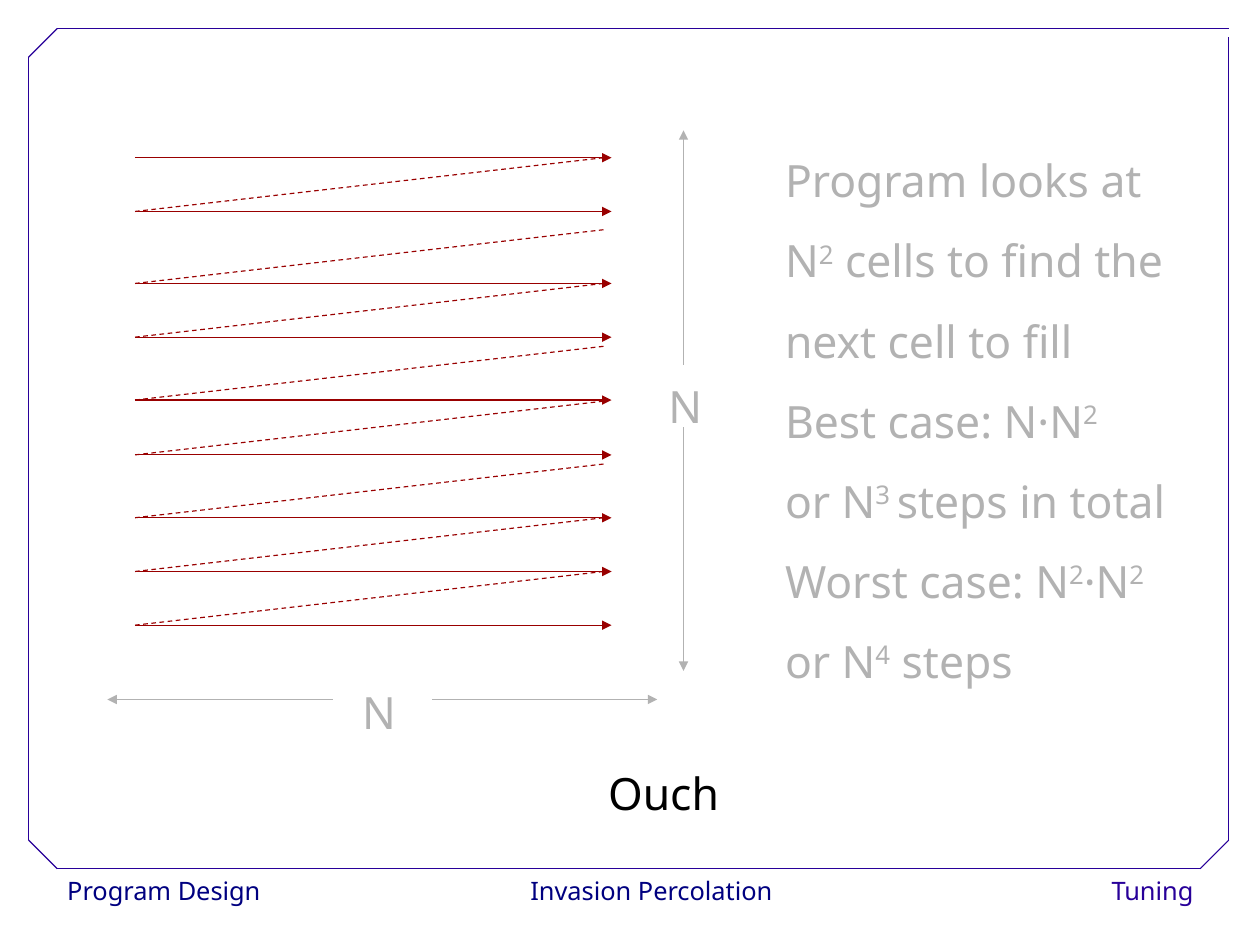
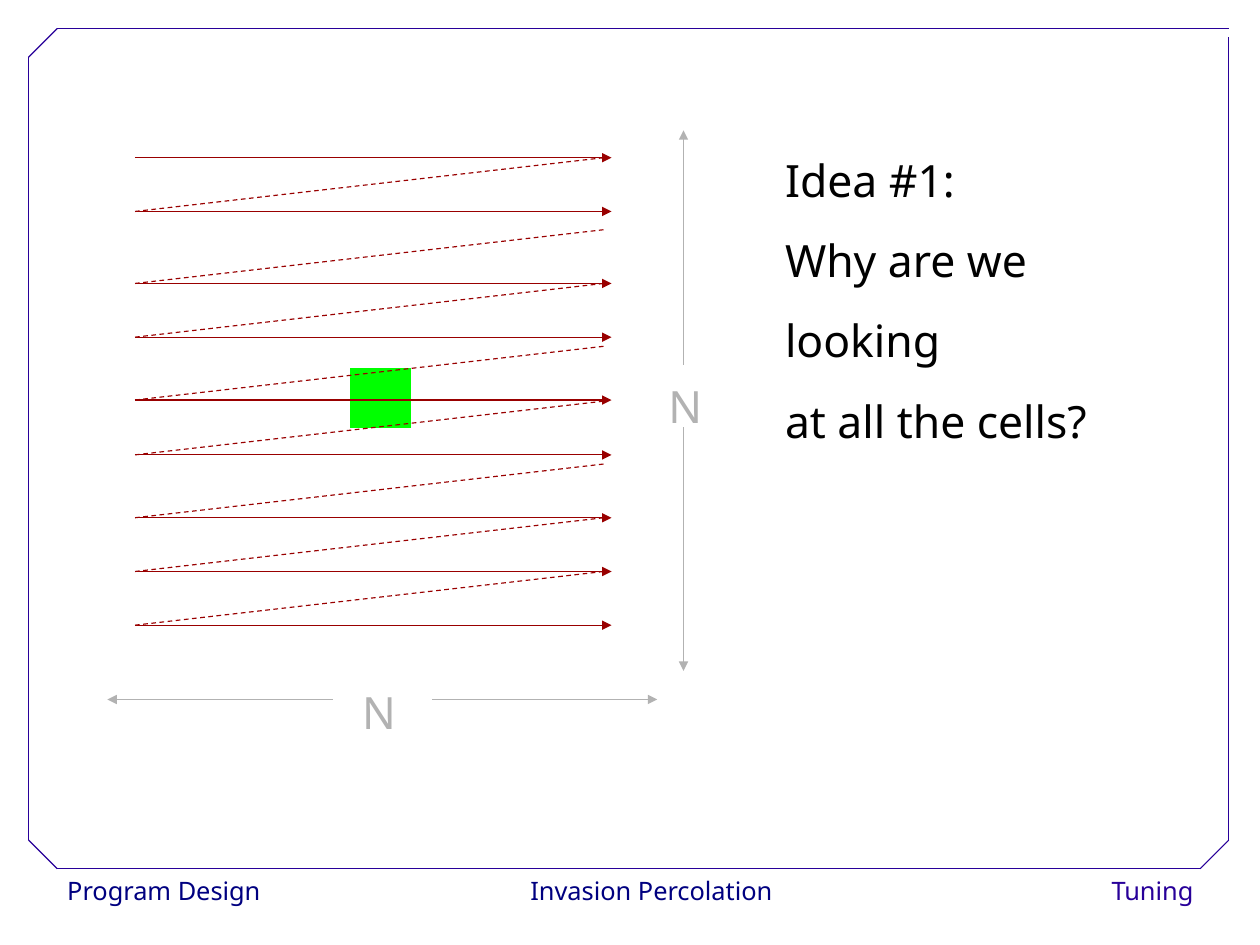
from dataclasses import dataclass

from lxml.etree import SubElement
from pptx import Presentation
from pptx.dml.color import RGBColor
from pptx.enum.dml import MSO_LINE
from pptx.enum.shapes import MSO_CONNECTOR, MSO_SHAPE
from pptx.enum.text import MSO_ANCHOR, MSO_AUTO_SIZE, PP_ALIGN
from pptx.oxml.ns import qn
from pptx.util import Cm, Inches, Pt


@dataclass(frozen=True)
class Theme:
    font: str = "Noto Sans"
    body_size: int = 28
    footer_size: int = 16
    body_spacing: float = 1.5
    footer_spacing: float = 1.02
    line_width: float = 0.75
    paper: str = "FFFFFF"
    frame: str = "280099"
    navy: str = "000080"
    scan: str = "990000"
    muted: str = "B2B2B2"
    ink: str = "000000"
    found: str = "00FF00"


THEME = Theme()
SLIDE_SIZE = Cm(28), Cm(21)

# Content: in a line of several runs, every second run is a superscript
SLIDES = [
    {
        "lines": [
            ("Program looks at",),
            ("N", "2", " cells to find the"),
            ("next cell to fill",),
            ("Best case: N·N", "2"),
            ("or N", "3 ", "steps in total"),
            ("Worst case: N", "2", "·N", "2"),
            ("or N", "4", " steps"),
        ],
        "color": THEME.muted, "height": 5.01, "remark": "Ouch", "found": None,
    },
    {
        "lines": [("Idea #1:",), ("Why are we looking",), ("at all the cells?",)],
        "color": THEME.ink, "height": 2.9, "remark": None, "found": (4, 4),
    },
]
FOOTERS = [  # text, left, width, alignment, colour
    ("Program Design", 0.49, 1.8, PP_ALIGN.LEFT, THEME.navy),
    ("Invasion Percolation", 4.58, 2.24, PP_ALIGN.CENTER, THEME.navy),
    ("Tuning", 9.14, 1.4, PP_ALIGN.RIGHT, THEME.frame),
]

# Frame: outer edges and the corner cut
LEFT, TOP, RIGHT, BOTTOM, CUT = 0.25, 0.25, 10.75, 7.6, 0.25
FRAME = [
    ((LEFT + CUT, BOTTOM), (RIGHT - CUT, BOTTOM)),
    ((LEFT, BOTTOM - CUT), (LEFT, TOP + CUT)),
    ((LEFT + CUT, TOP), (RIGHT, TOP)),
    ((RIGHT, BOTTOM - CUT), (RIGHT, 0.32)),
    ((LEFT, TOP + CUT), (LEFT + CUT, TOP)),
    ((RIGHT - CUT, BOTTOM), (RIGHT, BOTTOM - CUT)),
    ((LEFT, BOTTOM - CUT), (LEFT + CUT, BOTTOM)),
]

# Cell grid and the path that scans it
CELLS = 9
GRID = (0.95, 1.11, 4.76, 4.74)
SCAN_ROWS = [1.38, 1.85, 2.48, 2.95, 3.5, 3.98, 4.53, 5, 5.47]
SCAN_LEFT, SCAN_RIGHT, RETURN_RIGHT, RETURN_RISE = 1.18, 5.35, 5.28, 0.47

# Dimension marks: two arrows pointing away from each N
ACROSS_Y, DOWN_X = 6.12, 5.98
DIMENSIONS = [
    ((2.91, ACROSS_Y), (0.94, ACROSS_Y)),
    ((3.78, ACROSS_Y), (5.75, ACROSS_Y)),
    ((DOWN_X, 3.74), (DOWN_X, 5.87)),
    ((DOWN_X, 3.19), (DOWN_X, 1.14)),
]
DIMENSION_LABELS = [(3.07, 5.71, 0.39, 0.8), (5.75, 3.03, 0.39, 0.8)]


def rgb(color):
    return RGBColor.from_string(color)


def add_line(slide, start, end, color, arrow=False, dashed=False):
    points = [Inches(value) for value in (*start, *end)]
    line = slide.shapes.add_connector(MSO_CONNECTOR.STRAIGHT, *points)
    line.line.color.rgb = rgb(color)
    line.line.width = Pt(THEME.line_width)
    if dashed:
        line.line.dash_style = MSO_LINE.DASH
    properties = line._element.spPr
    if arrow:
        SubElement(properties.find(qn("a:ln")), qn("a:tailEnd"), type="triangle")
    SubElement(properties, qn("a:effectLst"))


def write_lines(shape, lines, color, size=THEME.body_size, spacing=THEME.body_spacing,
                alignment=PP_ALIGN.LEFT, wrap=True):
    frame = shape.text_frame
    frame.word_wrap = wrap
    frame.vertical_anchor = MSO_ANCHOR.TOP
    for index, runs in enumerate(lines):
        paragraph = frame.add_paragraph() if index else frame.paragraphs[0]
        paragraph.alignment = alignment
        paragraph.line_spacing = spacing
        font = paragraph.font
        font.name, font.size, font.color.rgb = THEME.font, Pt(size), rgb(color)
        for position, text in enumerate(runs):
            run = paragraph.add_run()
            run.text = text
            if position % 2:
                run._r.get_or_add_rPr().set("baseline", "30000")


def add_text(slide, box, lines, color, **style):
    shape = slide.shapes.add_textbox(*map(Inches, box))
    write_lines(shape, lines, color, **style)
    shape.text_frame.auto_size = MSO_AUTO_SIZE.SHAPE_TO_FIT_TEXT


def add_master_parts(slide):
    for text, left, width, alignment, color in FOOTERS:
        box = map(Inches, (left, BOTTOM, width, 0.4))
        footer = slide.shapes.add_shape(MSO_SHAPE.RECTANGLE, *box)
        footer.shadow.inherit = False
        footer.fill.solid()
        footer.fill.fore_color.rgb = rgb(THEME.paper)
        footer.line.fill.background()
        write_lines(footer, [(text,)], color, THEME.footer_size,
                    THEME.footer_spacing, alignment, wrap=False)
    for start, end in FRAME:
        add_line(slide, start, end, THEME.frame)


def add_grid(slide, found):
    table = slide.shapes.add_table(CELLS, CELLS, *map(Inches, GRID)).table
    table.first_row = table.horz_banding = False
    # "No Style, No Grid"
    style = table._tbl.tblPr.find(qn("a:tableStyleId"))
    style.text = "{2D5ABB26-0587-4C30-8999-92F81FD0307C}"
    for cell in table.iter_cells():
        cell.fill.background()
    if found:
        fill = table.cell(*found).fill
        fill.solid()
        fill.fore_color.rgb = rgb(THEME.found)


def add_scan(slide):
    for y in SCAN_ROWS:
        add_line(slide, (SCAN_LEFT, y), (SCAN_RIGHT, y), THEME.scan, arrow=True)
    for y in SCAN_ROWS[1:]:
        add_line(slide, (RETURN_RIGHT, y - RETURN_RISE), (SCAN_LEFT, y),
                 THEME.scan, dashed=True)


def add_dimensions(slide):
    for box in DIMENSION_LABELS:
        add_text(slide, box, [("N",)], THEME.muted)
    for start, end in DIMENSIONS:
        add_line(slide, start, end, THEME.muted, arrow=True)


def main():
    presentation = Presentation()
    presentation.slide_width, presentation.slide_height = SLIDE_SIZE
    blank = presentation.slide_layouts[6]
    for content in SLIDES:
        slide = presentation.slides.add_slide(blank)
        add_master_parts(slide)
        add_text(slide, (6.77, 1.06, 3.76, content["height"]),
                 content["lines"], content["color"])
        add_grid(slide, content["found"])
        add_scan(slide)
        if content["remark"]:
            add_text(slide, (4.72, 6.42, 2.17, 0.8), [(content["remark"],)],
                     THEME.ink, alignment=PP_ALIGN.CENTER, wrap=False)
        add_dimensions(slide)
    presentation.save("out.pptx")


if __name__ == "__main__":
    main()
